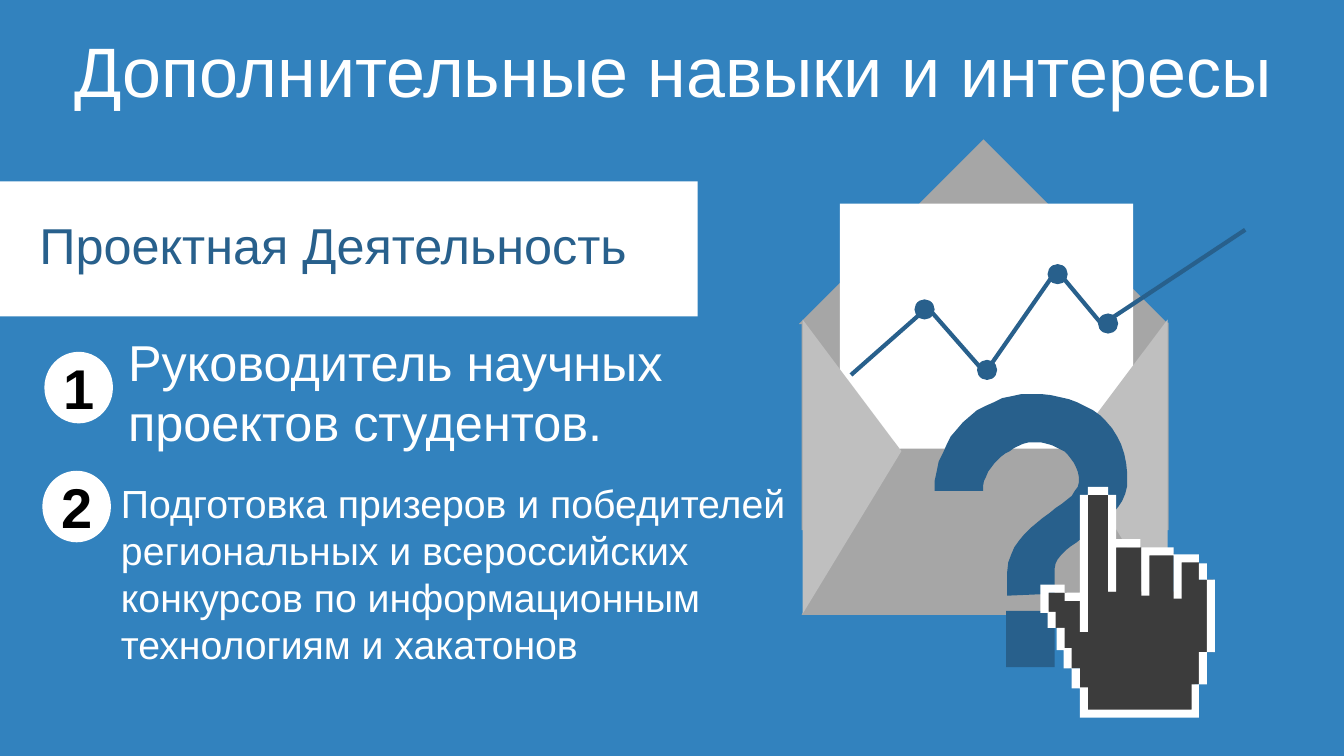
from dataclasses import dataclass
from itertools import pairwise

from lxml.etree import SubElement
from pptx import Presentation
from pptx.dml.color import RGBColor
from pptx.enum.shapes import MSO_SHAPE
from pptx.enum.text import MSO_ANCHOR, MSO_AUTO_SIZE, PP_ALIGN
from pptx.oxml.ns import qn
from pptx.shapes.autoshape import Shape
from pptx.shapes.shapetree import GroupShapes
from pptx.slide import Slide
from pptx.text.text import TextFrame
from pptx.util import Emu, Pt

EMU_PER_PX = 9144
Point = tuple[float, float]


@dataclass(frozen=True)
class Theme:
    font: str = "Arial"
    background: str = "3282BE"
    white: str = "FFFFFF"
    accent: str = "28608C"
    envelope: str = "A6A6A6"
    flap: str = "BFBFBF"
    hand: str = "3C3C3C"
    number: str = "000000"
    title_size: int = 50
    heading_size: int = 36
    detail_size: int = 28
    number_size: int = 40
    trend_width: int = 3


THEME = Theme()


@dataclass(frozen=True)
class Box:
    left: int
    top: int
    width: int
    height: int

    def emu(self) -> tuple[Emu, ...]:
        return tuple(px(value) for value in (self.left, self.top, self.width, self.height))


@dataclass(frozen=True)
class Part:
    kind: MSO_SHAPE
    box: Box
    color: str
    rotation: int = 0
    adjustment: float | None = None


@dataclass(frozen=True)
class Item:
    text: str
    box: Box
    size: int
    badge: Box


ENVELOPE = [
    Part(MSO_SHAPE.RECTANGLE, Box(795, 320, 364, 206), THEME.envelope),
    Part(MSO_SHAPE.RIGHT_TRIANGLE, Box(846, 192, 259, 259), THEME.envelope, 135),
    Part(MSO_SHAPE.RECTANGLE, Box(833, 202, 291, 401), THEME.white),
    Part(MSO_SHAPE.TRAPEZOID, Box(795, 445, 366, 165), THEME.envelope, 0, 0.595),
    Part(MSO_SHAPE.ISOSCELES_TRIANGLE, Box(699, 414, 292, 98), THEME.flap, 90, 0.447),
    Part(MSO_SHAPE.ISOSCELES_TRIANGLE, Box(963, 414, 292, 98), THEME.flap, 270, 0.553),
]
TREND = [(844, 372), (920, 305), (977, 370), (1048, 268), (1093, 322), (1235, 228)]
TREND_DOTS = [(907, 297), (969, 357), (1039, 262), (1089, 311)]
DOT_SIZE = 20

QUESTION_START = (1023, 391)
QUESTION_CURVES = [
    [(1074, 391), (1121, 418), (1118, 482)],
    [(1112, 524), (1047, 538), (1046, 564)],
    [(1046, 589)],
    [(999, 591)],
    [(999, 583), (999, 575), (999, 567)],
    [(1002, 519), (1067, 502), (1070, 479)],
    [(1070, 446), (1038, 437), (1023, 439)],
    [(1007, 440), (975, 460), (975, 487)],
    [(927, 487)],
    [(927, 434), (970, 391), (1023, 391)],
]
QUESTION_DOT = Part(MSO_SHAPE.RECTANGLE, Box(998, 606, 48, 56), THEME.accent)

HAND_FILL = [
    (1079, 491, 1099, 587, 1107, 543, 1132, 587, 1139, 549, 1164, 587, 1165, 557, 1189, 575,
     1203, 647, 1189, 679, 1185, 706, 1076, 683, 1071, 663, 1061, 643, 1051, 623, 1043, 608,
     1033, 588, 1058, 590, 1068, 591, 1076, 587, 1079),
]
HAND_BORDER = [
    (1189, 647, 1197, 679, 1189, 712, 1071, 682, 1079, 704, 1182, 679, 1189),
    (1048, 623, 1056, 643, 1063, 663, 1071, 683, 1063, 663, 1055, 645, 1048),
    (1197, 575, 1205, 647, 1197),
    (1189, 559, 1197, 575, 1189),
    (1132, 543, 1164, 550, 1189, 558, 1172, 594, 1164, 551, 1140, 591, 1132),
    (1099, 491, 1107, 535, 1131, 543, 1107, 587, 1099),
    (1071, 491, 1079, 627, 1071, 596, 1056, 588, 1040, 607, 1047, 623, 1039, 608, 1032, 580,
     1056, 588, 1071),
    (1079, 483, 1099, 491, 1079),
]
ITEMS = [
    Item("Руководитель научных проектов студентов.",
         Box(117, 323, 707, 131), THEME.heading_size, Box(44, 349, 68, 71)),
    Item("Подготовка призеров и победителей региональных и всероссийских конкурсов "
         "по информационным технологиям и хакатонов",
         Box(110, 469, 707, 199), THEME.detail_size, Box(42, 467, 68, 71)),
]


def px(value: float) -> Emu:
    return Emu(round(value * EMU_PER_PX))


def paint(shape: Shape, color: str) -> None:
    shape.shadow.inherit = False
    shape.fill.solid()
    shape.fill.fore_color.rgb = RGBColor.from_string(color)
    shape.line.fill.background()


def write(frame: TextFrame, text: str, size: int, color: str,
          align: PP_ALIGN = PP_ALIGN.LEFT, bold: bool = False) -> None:
    frame.text = text
    frame.word_wrap = True
    frame.auto_size = MSO_AUTO_SIZE.NONE
    frame.vertical_anchor = MSO_ANCHOR.MIDDLE
    paragraph = frame.paragraphs[0]
    paragraph.alignment = align
    paragraph.space_before = Pt(0)
    font = paragraph.runs[0].font
    font.name, font.size, font.bold = THEME.font, Pt(size), bold
    font.color.rgb = RGBColor.from_string(color)


def clear_insets(frame: TextFrame) -> None:
    frame.margin_left = frame.margin_right = frame.margin_top = frame.margin_bottom = 0


def place(shape: Shape, box: Box) -> None:
    shape.left, shape.top, shape.width, shape.height = box.emu()


def draw_part(shapes: GroupShapes, part: Part) -> Shape:
    shape = shapes.add_shape(part.kind, *part.box.emu())
    shape.rotation = part.rotation
    if part.adjustment is not None:
        shape.adjustments[0] = part.adjustment
    paint(shape, part.color)
    return shape


def draw_outline(shapes: GroupShapes, contours: list[list[Point]], closed: bool = True) -> Shape:
    builder = shapes.build_freeform(*contours[0][0], scale=EMU_PER_PX)
    for contour in contours:
        if contour is not contours[0]:
            builder.move_to(*contour[0])
        builder.add_line_segments(contour[1:], close=closed)
    return builder.convert_to_shape()


def stair_points(steps: tuple[int, ...]) -> list[Point]:
    return [(a, b) if index % 2 == 0 else (b, a) for index, (a, b) in enumerate(pairwise(steps))]


def curve_points(start: Point, curves: list[list[Point]], steps: int = 16) -> list[Point]:
    points = [start]
    for curve in curves:
        if len(curve) == 1:
            points.append(curve[0])
            continue
        controls = [points[-1], *curve]
        for step in range(1, steps + 1):
            t = step / steps
            weights = ((1 - t) ** 3, 3 * t * (1 - t) ** 2, 3 * t * t * (1 - t), t ** 3)
            points.append(tuple(sum(weight * control[axis] for weight, control
                                    in zip(weights, controls)) for axis in (0, 1)))
    return points


def draw_envelope(slide: Slide) -> None:
    shapes = slide.shapes.add_group_shape().shapes
    for part in ENVELOPE:
        draw_part(shapes, part)
    trend = draw_outline(shapes, [TREND], closed=False)
    trend.shadow.inherit = False
    trend.fill.background()
    trend.line.color.rgb = RGBColor.from_string(THEME.accent)
    trend.line.width = Pt(THEME.trend_width)
    for left, top in TREND_DOTS:
        draw_part(shapes, Part(MSO_SHAPE.OVAL, Box(left, top, DOT_SIZE, DOT_SIZE), THEME.accent))


def draw_question(slide: Slide) -> None:
    shapes = slide.shapes.add_group_shape().shapes
    paint(draw_outline(shapes, [curve_points(QUESTION_START, QUESTION_CURVES)]), THEME.accent)
    draw_part(shapes, QUESTION_DOT)


def draw_hand(slide: Slide) -> None:
    shapes = slide.shapes.add_group_shape().shapes
    for contours, color in ((HAND_FILL, THEME.hand), (HAND_BORDER, THEME.white)):
        paint(draw_outline(shapes, [stair_points(steps) for steps in contours]), color)


def draw_heading(slide: Slide) -> None:
    draw_part(slide.shapes, Part(MSO_SHAPE.RECTANGLE, Box(0, 180, 692, 134), THEME.white))
    heading = slide.shapes.add_textbox(*Box(39, 212, 608, 61).emu())
    write(heading.text_frame, "Проектная Деятельность", THEME.heading_size, THEME.accent)
    clear_insets(heading.text_frame)


def draw_item(slide: Slide, number: int, item: Item) -> None:
    body = slide.placeholders[number]
    place(body, item.box)
    write(body.text_frame, item.text, item.size, THEME.white)
    properties = body.text_frame.paragraphs[0]._p.get_or_add_pPr()
    properties.set("marL", "0")
    properties.set("indent", "0")
    SubElement(properties, qn("a:buNone"))
    badge = draw_part(slide.shapes, Part(MSO_SHAPE.OVAL, item.badge, THEME.white))
    write(badge.text_frame, str(number), THEME.number_size, THEME.number, PP_ALIGN.CENTER, True)
    clear_insets(badge.text_frame)


def main() -> None:
    presentation = Presentation()
    presentation.slide_width, presentation.slide_height = px(1333), px(750)
    slide = presentation.slides.add_slide(presentation.slide_layouts[3])
    slide.background.fill.solid()
    slide.background.fill.fore_color.rgb = RGBColor.from_string(THEME.background)
    title = slide.shapes.title
    place(title, Box(35, 37, 1266, 79))
    write(title.text_frame, "Дополнительные навыки и интересы", THEME.title_size,
          THEME.white, PP_ALIGN.CENTER)
    title.text_frame.paragraphs[0].line_spacing = 0.8
    title.text_frame.paragraphs[0].space_before = Pt(10)
    draw_envelope(slide)
    draw_question(slide)
    draw_hand(slide)
    draw_heading(slide)
    for number, item in enumerate(ITEMS, start=1):
        draw_item(slide, number, item)
    presentation.save("out.pptx")


if __name__ == "__main__":
    main()
